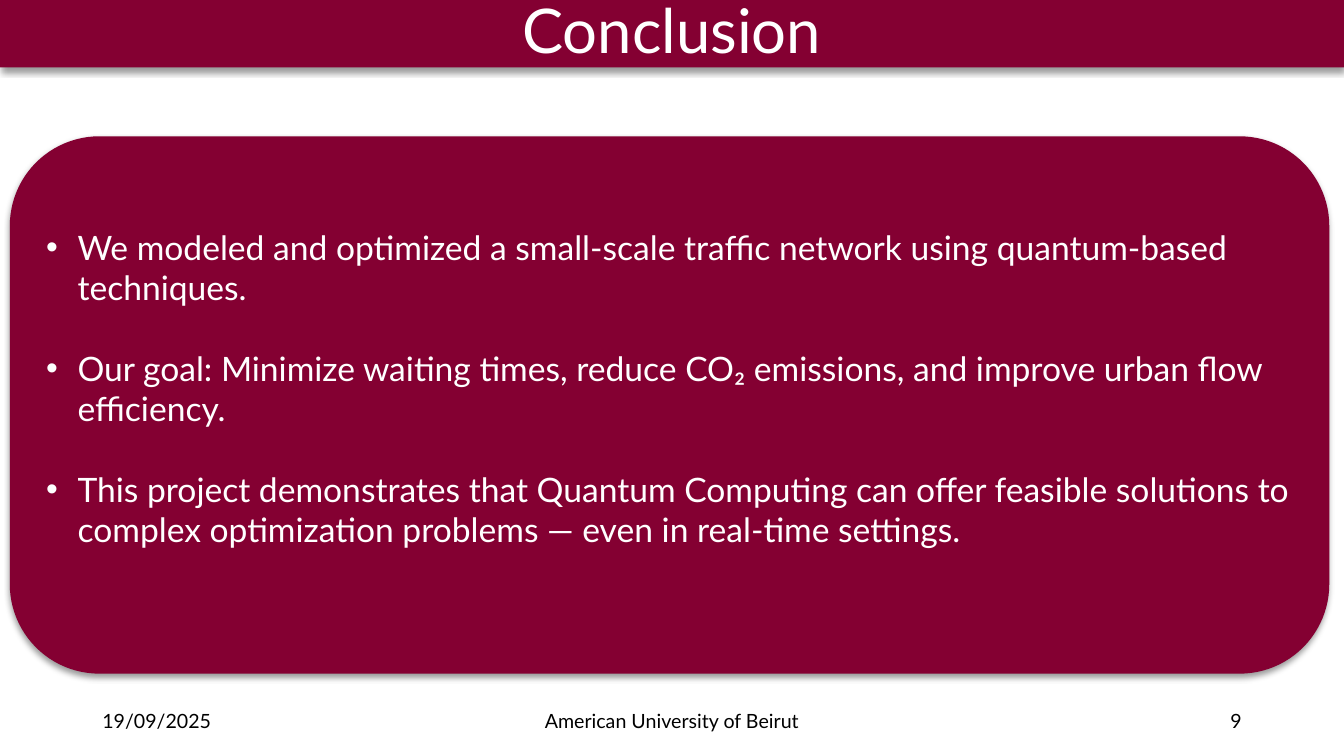
from lxml.etree import SubElement
from pptx import Presentation
from pptx.dml.color import RGBColor
from pptx.enum.text import MSO_ANCHOR, MSO_AUTO_SIZE, PP_ALIGN
from pptx.oxml import parse_xml
from pptx.oxml.ns import nsdecls, qn
from pptx.util import Pt

COLORS = {"maroon": "840032", "white": "FFFFFF", "black": "000000"}


class ConclusionSlide:
    font_name = "Lato"
    bullet_indent = Pt(22.5)

    def __init__(self, presentation):
        self.slide = presentation.slides.add_slide(presentation.slide_layouts[1])

    def style(self, paragraph, size, color, alignment):
        paragraph.alignment = alignment
        paragraph.font.name = self.font_name
        paragraph.font.size = Pt(size)
        paragraph.font.color.rgb = RGBColor.from_string(COLORS[color])

    def panel(self, shape, position, geometry):
        shape.left, shape.top, shape.width, shape.height = map(Pt, position)
        properties = shape._element.spPr
        properties.find(qn("a:xfrm")).addnext(parse_xml(
            f'<a:prstGeom {nsdecls("a")} prst="{geometry}"><a:avLst/></a:prstGeom>'))
        shape.fill.solid()
        shape.fill.fore_color.rgb = RGBColor.from_string(COLORS["maroon"])
        shape.line.fill.background()
        properties.append(parse_xml(
            f'<a:effectLst {nsdecls("a")}>'
            f'<a:outerShdw blurRad="{Pt(4)}" dist="{Pt(3)}" dir="5400000" algn="t" rotWithShape="0">'
            f'<a:srgbClr val="{COLORS["black"]}"><a:alpha val="40000"/></a:srgbClr>'
            '</a:outerShdw></a:effectLst>'))
        frame = shape.text_frame
        frame.word_wrap = True
        frame.auto_size = MSO_AUTO_SIZE.NONE
        return frame

    def title(self, text, position):
        frame = self.panel(self.slide.shapes.title, position, "rect")
        frame.vertical_anchor = MSO_ANCHOR.TOP
        frame.text = text
        paragraph = frame.paragraphs[0]
        paragraph.line_spacing = 0.9
        paragraph.space_after = Pt(6)
        self.style(paragraph, 44, "white", PP_ALIGN.CENTER)

    def bullets(self, items, position):
        frame = self.panel(self.slide.placeholders[1], position, "roundRect")
        frame.vertical_anchor = MSO_ANCHOR.MIDDLE
        frame.margin_bottom = Pt(27.6)
        frame.text = "\n".join(items)
        for index, paragraph in enumerate(frame.paragraphs):
            paragraph.space_before = Pt(28.8 if index else 0)
            properties = paragraph._p.get_or_add_pPr()
            properties.set("marL", str(self.bullet_indent))
            properties.set("indent", str(-self.bullet_indent))
            SubElement(properties, qn("a:buFont"), typeface="Arial")
            SubElement(properties, qn("a:buChar"), char="•")
            self.style(paragraph, 24, "white", PP_ALIGN.LEFT)

    def footer(self, text, left, width, alignment):
        box = self.slide.shapes.add_textbox(Pt(left), Pt(500.4), Pt(width), Pt(28.8))
        frame = box.text_frame
        frame.word_wrap = True
        frame.vertical_anchor = MSO_ANCHOR.MIDDLE
        frame.text = text
        self.style(frame.paragraphs[0], 14, "black", alignment)


def main():
    presentation = Presentation()
    presentation.slide_width, presentation.slide_height = Pt(960), Pt(540)
    conclusion = ConclusionSlide(presentation)
    conclusion.title("Conclusion", (0, -3.6, 960, 51.8))
    conclusion.bullets([
        "We modeled and optimized a small-scale traffic network using quantum-based techniques.",
        "Our goal: Minimize waiting times, reduce CO₂ emissions, and improve urban flow efficiency.",
        "This project demonstrates that Quantum Computing can offer feasible solutions to complex "
        "optimization problems — even in real-time settings.",
    ], (7, 97.4, 942.5, 383.8))
    conclusion.footer("19/09/2025", 66, 216, PP_ALIGN.LEFT)
    conclusion.footer("American University of Beirut", 318, 324, PP_ALIGN.CENTER)
    conclusion.footer("9", 678, 216, PP_ALIGN.RIGHT)
    presentation.save("out.pptx")


if __name__ == "__main__":
    main()
